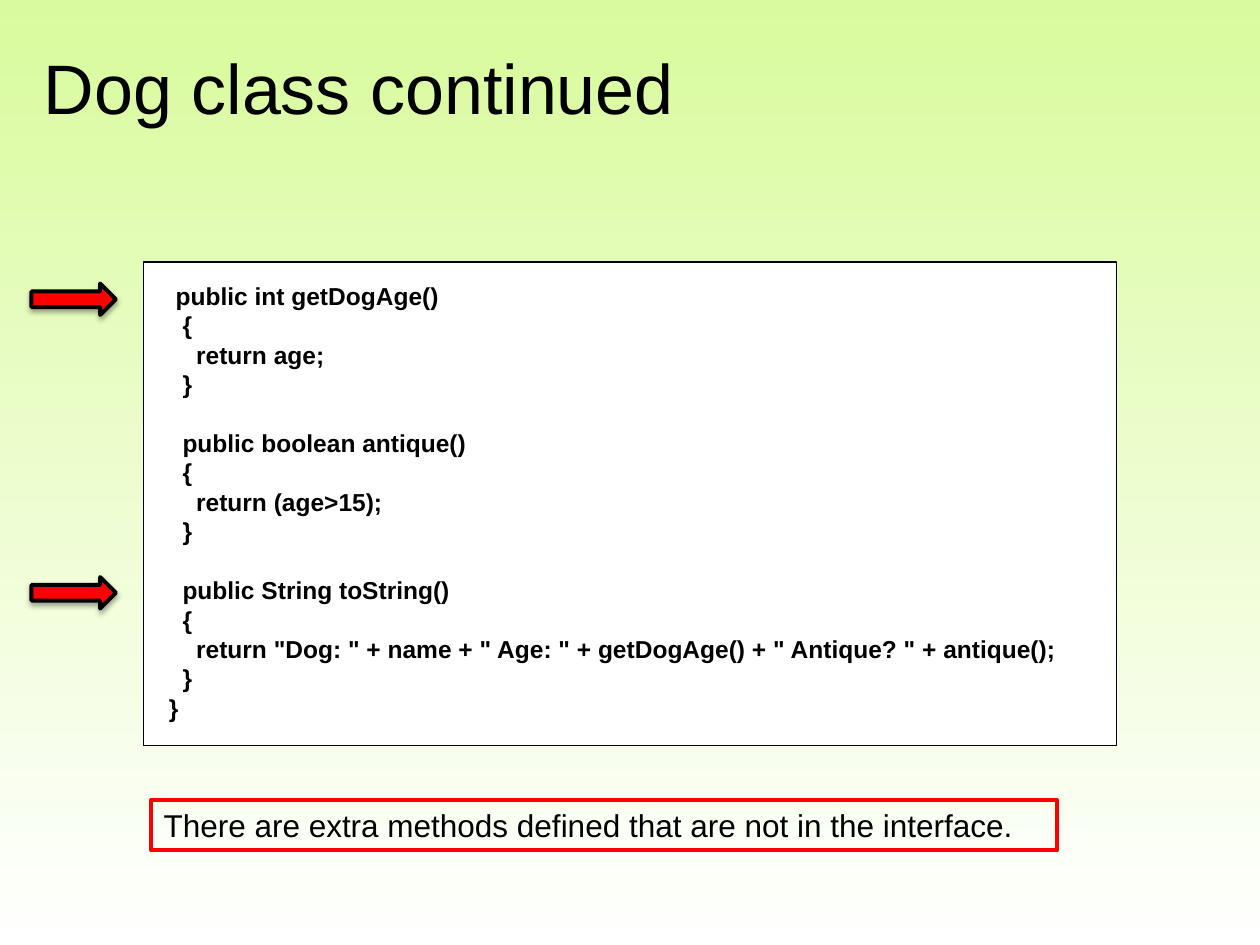
from dataclasses import dataclass

from lxml import etree
from pptx import Presentation
from pptx.dml.color import RGBColor
from pptx.enum.shapes import MSO_SHAPE as Preset
from pptx.enum.text import MSO_ANCHOR as Anchor, PP_ALIGN as Align
from pptx.oxml.ns import qn
from pptx.util import Inches, Pt

COLOURS = {
    "green": "D9FB9D",
    "white": "FFFFFF",
    "black": "000000",
    "red": "FF0000",
}
FONT = "Arial"
CODE_SIZE = 14
CODE_LINE = 16.8
SPACE_WIDTH = 0.278 * CODE_SIZE  # points, one space in bold Arial
ARROW_TOPS = (2.25, 4.58)


@dataclass
class CodeLine:
    text: str
    indent: int
    starts_block: bool = False


@dataclass
class Box:
    left: float
    top: float
    width: float
    height: float

    def lengths(self):
        return [Inches(n) for n in (self.left, self.top, self.width, self.height)]


CODE = [
    CodeLine("public int getDogAge()", 1),
    CodeLine("{", 2),
    CodeLine("return age;", 4),
    CodeLine("}", 2),
    CodeLine("public boolean antique()", 2, True),
    CodeLine("{", 2),
    CodeLine("return (age>15);", 4),
    CodeLine("}", 2),
    CodeLine("public String toString()", 2, True),
    CodeLine("{", 2),
    CodeLine('return "Dog: " + name + " Age: " + getDogAge() + " Antique? " + antique();', 4),
    CodeLine("}", 2),
    CodeLine("}", 0),
]


def colour(name: str) -> RGBColor:
    return RGBColor.from_string(COLOURS[name])


def add_preset(slide, preset, box: Box, fill: str | None, line: str, line_width: float):
    shape = slide.shapes.add_shape(preset, *box.lengths())
    shape.shadow.inherit = False
    if fill:
        shape.fill.solid()
        shape.fill.fore_color.rgb = colour(fill)
    else:
        shape.fill.background()
    shape.line.color.rgb = colour(line)
    shape.line.width = Pt(line_width)
    return shape


def style_paragraph(paragraph, size: float, bold: bool = False) -> None:
    paragraph.alignment = Align.LEFT
    paragraph.font.name = FONT
    paragraph.font.size = Pt(size)
    paragraph.font.bold = bold
    paragraph.font.color.rgb = colour("black")


def write_text(shape, text: str, size: float, anchor) -> None:
    frame = shape.text_frame
    frame.word_wrap = True
    frame.vertical_anchor = anchor
    frame.text = text
    style_paragraph(frame.paragraphs[0], size)


def write_code(shape, lines: list[CodeLine]) -> None:
    """Indent each line by whole space widths and part the methods by one line."""
    frame = shape.text_frame
    frame.word_wrap = True
    frame.vertical_anchor = Anchor.TOP
    frame.margin_left = frame.margin_right = Inches(0.2)
    frame.margin_top = frame.margin_bottom = Inches(0.15)
    for index, line in enumerate(lines):
        paragraph = frame.add_paragraph() if index else frame.paragraphs[0]
        paragraph.text = line.text
        style_paragraph(paragraph, CODE_SIZE, bold=True)
        paragraph.line_spacing = Pt(CODE_LINE)
        if line.starts_block:
            paragraph.space_before = Pt(CODE_LINE)
        properties = paragraph._p.get_or_add_pPr()
        properties.set("marL", str(Pt(line.indent * SPACE_WIDTH)))
        properties.set("indent", "0")


def add_shadow(shape) -> None:
    """Cast a soft black shadow straight down."""
    effects = shape._element.spPr.find(qn("a:effectLst"))
    shadow = etree.SubElement(
        effects, qn("a:outerShdw"), blurRad=str(Pt(3.1)), dist=str(Pt(1.8)),
        dir="5400000", rotWithShape="0",
    )
    black = etree.SubElement(shadow, qn("a:srgbClr"), val=COLOURS["black"])
    etree.SubElement(black, qn("a:alpha"), val="35000")


def paint_background(slide) -> None:
    fill = slide.background.fill
    fill.gradient()
    fill.gradient_angle = 270
    for stop, position, name in zip(fill.gradient_stops, (0, 1), ("green", "white")):
        stop.position = position
        stop.color.rgb = colour(name)


def main() -> None:
    presentation = Presentation()
    presentation.slide_width = Inches(10)
    presentation.slide_height = Inches(7.5)
    slide = presentation.slides.add_slide(presentation.slide_layouts[6])
    paint_background(slide)

    code_box = add_preset(slide, Preset.RECTANGLE, Box(1.14, 2.08, 7.72, 3.84), "white", "black", 0.75)
    write_code(code_box, CODE)

    title = slide.shapes.add_textbox(*Box(0.25, 0.3, 9.5, 0.78).lengths())
    write_text(title, "Dog class continued", 40, Anchor.MIDDLE)

    note = add_preset(slide, Preset.RECTANGLE, Box(1.2, 6.35, 7.19, 0.4), None, "red", 2.25)
    write_text(note, "There are extra methods defined that are not in the interface.", 18, Anchor.TOP)

    for top in ARROW_TOPS:
        arrow = add_preset(slide, Preset.RIGHT_ARROW, Box(0.25, top, 0.67, 0.25), "red", "black", 2.25)
        add_shadow(arrow)

    presentation.save("out.pptx")


if __name__ == "__main__":
    main()
